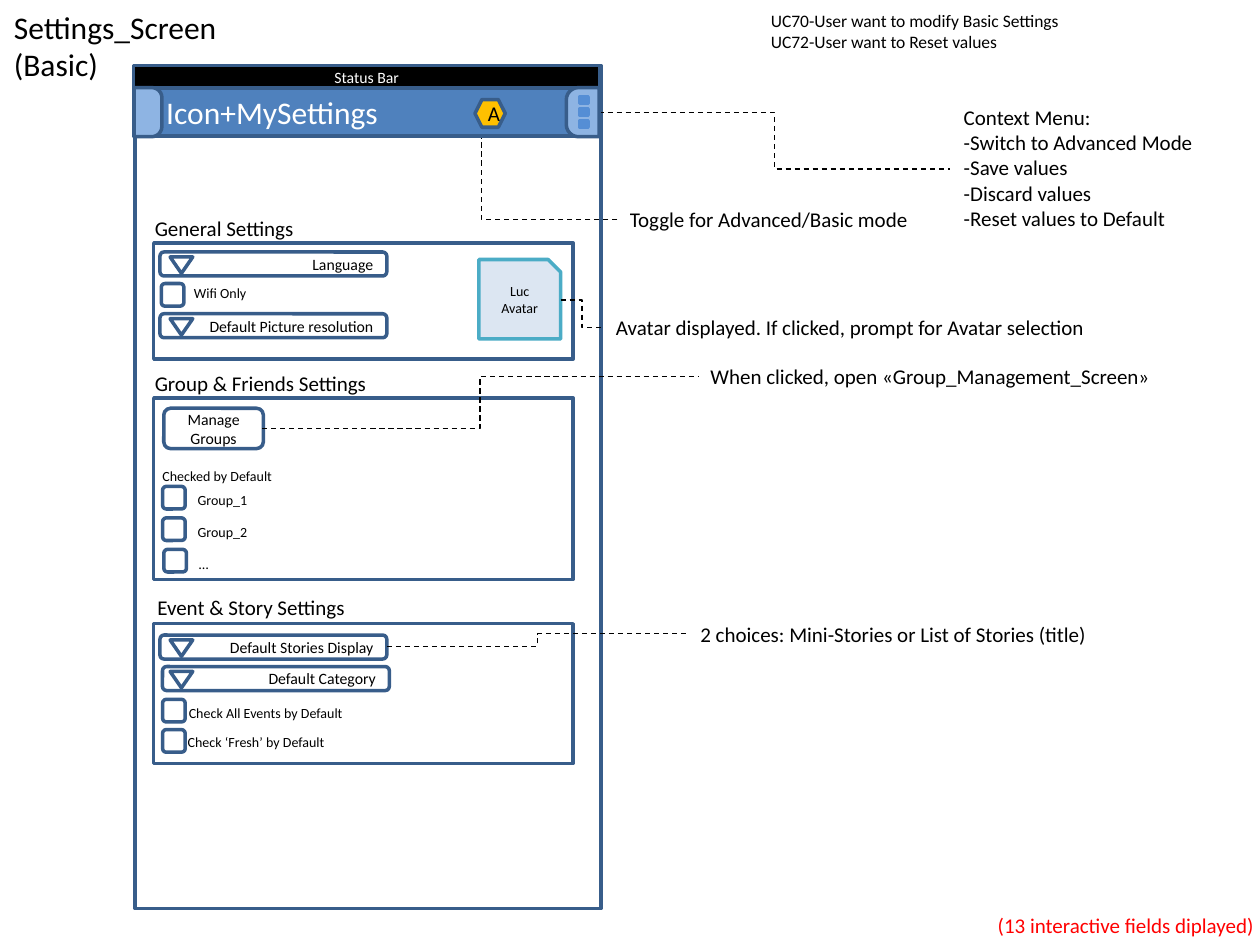
from lxml import etree
from pptx import Presentation
from pptx.dml.color import RGBColor
from pptx.enum.dml import MSO_LINE
from pptx.enum.shapes import MSO_CONNECTOR, MSO_SHAPE
from pptx.enum.text import MSO_ANCHOR, MSO_AUTO_SIZE, PP_ALIGN
from pptx.oxml.ns import qn
from pptx.util import Inches, Pt

RECTANGLE = MSO_SHAPE.RECTANGLE
ROUNDED = MSO_SHAPE.ROUNDED_RECTANGLE
TRIANGLE = MSO_SHAPE.ISOSCELES_TRIANGLE
HEXAGON = MSO_SHAPE.HEXAGON
TAB = MSO_SHAPE.ROUND_2_SAME_RECTANGLE
ELBOW = MSO_CONNECTOR.ELBOW
DASH = MSO_LINE.DASH
LEFT, CENTER, RIGHT = PP_ALIGN.LEFT, PP_ALIGN.CENTER, PP_ALIGN.RIGHT
TOP, MIDDLE = MSO_ANCHOR.TOP, MSO_ANCHOR.MIDDLE

FONT = "Calibri"
BLACK, WHITE, RED = "000000", "FFFFFF", "FF0000"
OUTLINE, HEADER_BLUE, TAB_BLUE, DOT_BLUE = "385D8A", "4F81BD", "8EB4E3", "558ED5"

presentation = Presentation()
presentation.slide_width = Inches(10)
presentation.slide_height = Inches(7.5)
slide = presentation.slides.add_slide(presentation.slide_layouts[5])


def write(shape, text, size, color=BLACK, align=LEFT, anchor=TOP, wrap=True):
    frame = shape.text_frame
    frame.text = text
    frame.word_wrap = wrap
    frame.auto_size = MSO_AUTO_SIZE.NONE
    frame.vertical_anchor = anchor
    for paragraph in frame.paragraphs:
        paragraph.alignment = align
        paragraph.font.name = FONT
        paragraph.font.size = Pt(size)
        paragraph.font.color.rgb = RGBColor.from_string(color)


def add_box(kind, left, top, width, height, fill=WHITE, line=OUTLINE):
    shape = slide.shapes.add_shape(kind, Inches(left), Inches(top), Inches(width), Inches(height))
    shape.shadow.inherit = False
    if fill:
        shape.fill.solid()
        shape.fill.fore_color.rgb = RGBColor.from_string(fill)
    else:
        shape.fill.background()
    shape.line.color.rgb = RGBColor.from_string(line)
    shape.line.width = Pt(2)
    return shape


title = slide.shapes.title
title.left, title.top, title.width, title.height = Inches(0.01), Inches(0.01), Inches(2.53), Inches(0.4)
write(title, "Settings_Screen (Basic)", 18, wrap=False)

add_box(RECTANGLE, 1.07, 0.52, 3.7, 6.69, fill=None)
for top, height in [(1.93, 0.92), (3.16, 1.44), (4.95, 1.11)]:
    add_box(RECTANGLE, 1.22, top, 3.33, height)

dropdowns = [
    ("Language", 1.27, 2),
    ("Default Picture resolution", 1.27, 2.49),
    ("Default Stories Display", 1.27, 5.04),
    ("Default Category", 1.29, 5.29),
]
for text, left, top in dropdowns:
    dropdown = add_box(ROUNDED, left, top, 1.8, 0.19)
    write(dropdown, text, 9, align=RIGHT, anchor=MIDDLE)
    arrow = add_box(TRIANGLE, 1.35, top + 0.04, 0.18, 0.13, fill=None)
    arrow._element.spPr.find(qn("a:xfrm")).set("flipV", "1")

for left, top in [(1.28, 2.25), (1.29, 3.86), (1.29, 4.11), (1.3, 4.36), (1.29, 5.55), (1.29, 5.79)]:
    add_box(ROUNDED, left, top, 0.18, 0.18)

manage_button = add_box(ROUNDED, 1.3, 3.24, 0.79, 0.32)
write(manage_button, "Manage Groups", 9, align=CENTER, anchor=MIDDLE)

left, top, right, bottom, fold = (Inches(value) for value in (3.8, 2.06, 4.45, 2.69, 0.1))
builder = slide.shapes.build_freeform(left, top)
builder.add_line_segments(
    [(right - fold, top), (right, top + fold), (right, bottom), (left, bottom)], close=True)
avatar = builder.convert_to_shape()
avatar.shadow.inherit = False
avatar.fill.solid()
avatar.fill.fore_color.rgb = RGBColor.from_string("DCE6F2")
avatar.line.color.rgb = RGBColor.from_string("4BACC6")
avatar.line.width = Pt(2)
write(avatar, "Luc Avatar", 8, align=CENTER, anchor=MIDDLE)

context_menu = "\n".join([
    "Context Menu:",
    "-Switch to Advanced Mode",
    "-Save values",
    "-Discard values",
    "-Reset values to Default",
])
use_cases = "UC70-User want to modify Basic Settings\nUC72-User want to Reset values"
labels = [
    ("General Settings", 1.13, 1.66, 2.28, 0.3, 12, BLACK, True),
    ("Group & Friends Settings", 1.13, 2.89, 2.28, 0.3, 12, BLACK, True),
    ("Event & Story Settings", 1.15, 4.67, 2.28, 0.3, 12, BLACK, True),
    ("Wifi Only", 1.44, 2.21, 0.62, 0.24, 8, BLACK, False),
    ("Checked by Default", 1.19, 3.66, 1.08, 0.24, 8, BLACK, False),
    ("Group_1", 1.47, 3.85, 0.6, 0.24, 8, BLACK, False),
    ("Group_2", 1.47, 4.11, 0.6, 0.24, 8, BLACK, False),
    ("…", 1.48, 4.36, 0.27, 0.24, 8, BLACK, False),
    ("Check All Events by Default", 1.4, 5.54, 1.43, 0.24, 8, BLACK, False),
    ("Check ‘Fresh’ by Default", 1.39, 5.77, 1.29, 0.24, 8, BLACK, False),
    ("Toggle for Advanced/Basic mode", 4.9, 1.59, 2.59, 0.3, 12, BLACK, True),
    ("Avatar displayed. If clicked, prompt for Avatar selection", 4.79, 2.45, 4.12, 0.3, 12, BLACK, True),
    ("When clicked, open «Group_Management_Screen»", 5.54, 2.84, 3.82, 0.3, 12, BLACK, True),
    ("2 choices: Mini-Stories or List of Stories (title)", 5.46, 4.88, 3.82, 0.3, 12, BLACK, True),
    (use_cases, 6.02, 0.03, 3.71, 0.44, 10, BLACK, True),
    (context_menu, 7.55, 0.78, 2.02, 1.1, 12, BLACK, False),
    ("(13 interactive fields diplayed)", 7.82, 7.19, 2.24, 0.3, 12, RED, False),
]
for text, left, top, width, height, size, color, wrap in labels:
    label = slide.shapes.add_textbox(Inches(left), Inches(top), Inches(width), Inches(height))
    write(label, text, size, color, wrap=wrap)

callouts = [
    (2.08, 3.4, 5.54, 2.99, "bentConnector3"),
    (4.9, 1.74, 3.82, 1, "bentConnector2"),
    (4.45, 2.38, 4.79, 2.6, "bentConnector3"),
    (3.07, 5.13, 5.46, 5.03, "bentConnector3"),
    (4.75, 0.89, 7.54, 1.34, "bentConnector3"),
]
for start_x, start_y, end_x, end_y, geometry in callouts:
    connector = slide.shapes.add_connector(
        ELBOW, Inches(start_x), Inches(start_y), Inches(end_x), Inches(end_y))
    connector.line.color.rgb = RGBColor.from_string(BLACK)
    connector.line.width = Pt(0.75)
    connector.line.dash_style = DASH
    properties = connector._element.spPr
    properties.find(qn("a:prstGeom")).set("prst", geometry)
    etree.SubElement(properties, qn("a:effectLst"))

header = add_box(RECTANGLE, 1.06, 0.69, 3.7, 0.39, HEADER_BLUE)
write(header, "Icon+MySettings", 18, WHITE, anchor=MIDDLE)
header.text_frame.margin_left = Inches(0.26)
status_bar = add_box(RECTANGLE, 1.06, 0.52, 3.7, 0.18, BLACK)
write(status_bar, "Status Bar", 9, WHITE, CENTER, MIDDLE)

for left, top, height, rotation in [(0.98, 0.78, 0.22, 90), (4.43, 0.76, 0.26, 270)]:
    tab = add_box(TAB, left, top, 0.39, height, TAB_BLUE)
    tab.rotation = rotation
    tab.adjustments[0] = 0.37

for index in range(3):
    add_box(RECTANGLE, 4.6, 0.77 + 0.095 * index, 0.07, 0.05, DOT_BLUE, DOT_BLUE)

mode_toggle = add_box(HEXAGON, 3.77, 0.79, 0.24, 0.22, "FFC000")
write(mode_toggle, "A", 12, align=CENTER, anchor=MIDDLE)

presentation.save("out.pptx")
